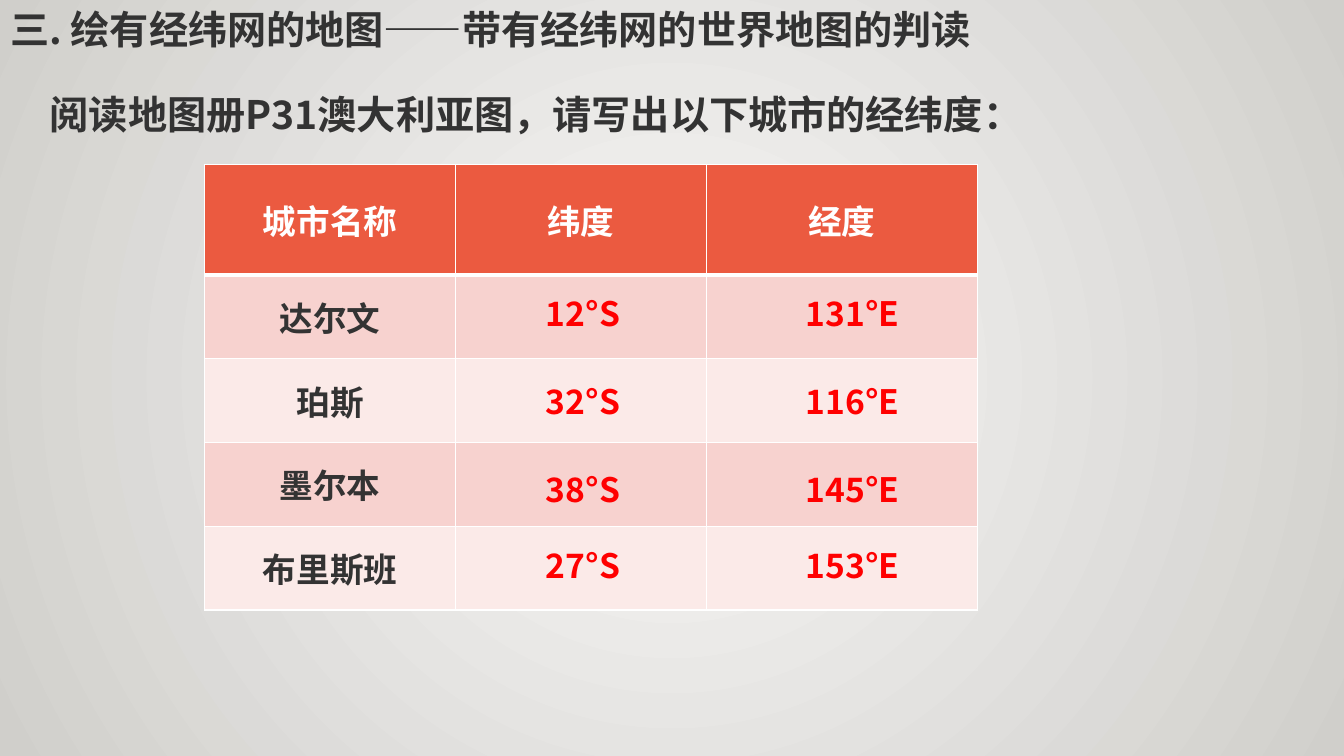
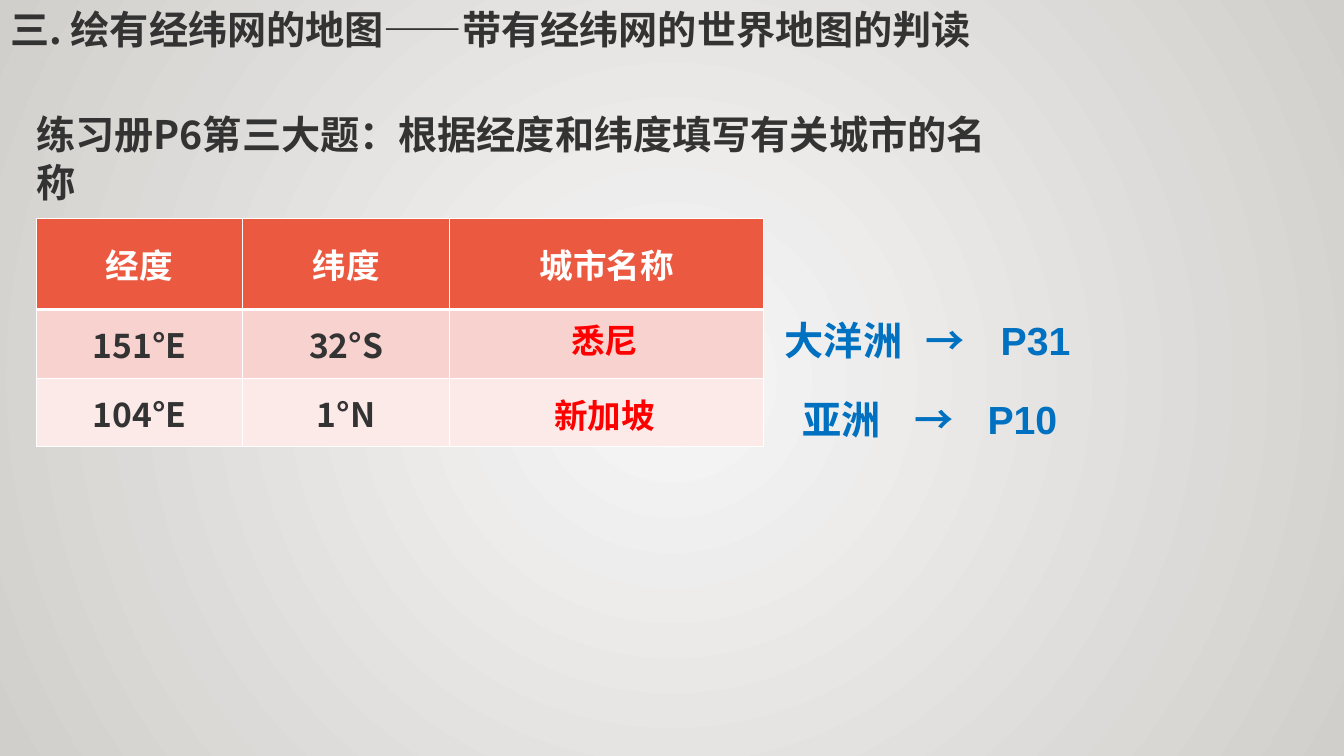
from pptx import Presentation
from pptx.dml.color import RGBColor as Rgb
from pptx.enum.text import MSO_ANCHOR as Anchor, MSO_AUTO_SIZE as Fit, PP_ALIGN as Align
from pptx.oxml import parse_xml
from pptx.oxml.ns import nsdecls, qn
from pptx.util import Cm, Pt

INK = Rgb(0x33, 0x33, 0x33)
WHITE = Rgb(0xFF, 0xFF, 0xFF)
RED = Rgb(0xFF, 0x00, 0x00)
BLUE = Rgb(0x00, 0x70, 0xC0)
HEAD = Rgb(0xEB, 0x5A, 0x40)
BANDS = (Rgb(0xF7, 0xD2, 0xCF), Rgb(0xFB, 0xEA, 0xE8))
GLOW = Rgb(0xF8, 0xF7, 0xF7)
EDGE = Rgb(0xD0, 0xCF, 0xCB)

HAN = "Noto Sans CJK SC"
TITLE = "三. 绘有经纬网的地图——带有经纬网的世界地图的判读"


def xml(tag, attrs="", inner=""):
    return parse_xml(f"<a:{tag} {nsdecls('a')} {attrs}>{inner}</a:{tag}>")


def write(para, text, size, color, face=HAN, align=Align.LEFT):
    para.alignment = align
    para.space_before = Pt(0)
    run = para.add_run()
    run.text = text
    font = run.font
    font.name, font.size, font.bold = face, Pt(size), True
    font.color.rgb = color
    run._r.get_or_add_rPr().append(xml("ea", f'typeface="{HAN}"'))


def place(shape, left, top, width, height):
    shape.left, shape.top = Cm(left), Cm(top)
    shape.width, shape.height = Cm(width), Cm(height)
    frame = shape.text_frame
    frame.word_wrap = True
    frame.auto_size = Fit.NONE
    frame.vertical_anchor = Anchor.MIDDLE
    return frame.paragraphs[0]


def paint(master):
    """Give every slide the radial grey background."""
    fill = master.background.fill
    fill.gradient()
    for stop, color in zip(fill.gradient_stops, (GLOW, EDGE)):
        stop.color.rgb = color
    grad = next(master.element.iter(qn("a:gradFill")))
    rect = '<a:fillToRect l="50000" t="50000" r="50000" b="50000"/>'
    grad.replace(grad.find(qn("a:lin")), xml("path", 'path="circle"', rect))


def start(deck, task, box):
    """Add a slide with the shared title and its own task line."""
    slide = deck.slides.add_slide(deck.slide_layouts[1])
    title, body = slide.placeholders
    write(place(title, 0, 0, 30.45, 1.45), TITLE, 28, INK)
    para = place(body, *box)
    props = para._p.get_or_add_pPr()
    props.set("marL", "0")
    props.set("indent", "0")
    props.append(xml("buNone"))
    para.line_spacing = Pt(34)
    write(para, task, 28, INK)
    return slide


def edge(cell, row):
    props = cell._tc.get_or_add_tcPr()
    thick = {0: "lnB", 1: "lnT"}.get(row)
    for side in ("lnL", "lnR", "lnT", "lnB"):
        width = Pt(3 if side == thick else 1)
        inner = f'<a:solidFill><a:srgbClr val="{WHITE}"/></a:solidFill>'
        props.append(xml(side, f'w="{width}"', inner))


def grid(slide, left, top, cols, rows, data):
    shape = slide.shapes.add_table(len(rows), len(cols), Cm(left), Cm(top),
                                   Cm(sum(cols)), Cm(sum(rows)))
    table = shape.table
    table.horz_banding = False
    for col, width in zip(table.columns, cols):
        col.width = Cm(width)
    for i, (row, high) in enumerate(zip(table.rows, rows)):
        row.height = Cm(high)
        for cell, text in zip(row.cells, data[i]):
            edge(cell, i)
            cell.fill.solid()
            cell.fill.fore_color.rgb = BANDS[(i - 1) % 2] if i else HEAD
            cell.vertical_anchor = Anchor.MIDDLE
            if text:
                write(cell.text_frame.paragraphs[0], text, 24,
                      INK if i else WHITE, align=Align.CENTER)


def answer(slide, text, mid, level):
    """Centre a red answer on a point of the table."""
    wide, high = 4, 1.27
    box = slide.shapes.add_textbox(0, 0, 0, 0)
    para = place(box, mid - wide / 2, level - high / 2, wide, high)
    write(para, text, 24, RED, align=Align.CENTER)


def hint(slide, land, page, left, top, stops):
    """Point from a continent to its atlas page."""
    box = slide.shapes.add_textbox(0, 0, 0, 0)
    para = place(box, left, top, 8.5, 1.45)
    tabs = "".join(f'<a:tab pos="{Cm(stop)}" algn="l"/>' for stop in stops)
    para._p.get_or_add_pPr().append(xml("tabLst", inner=tabs))
    write(para, f"{land}\t→\t{page}", 28, BLUE, "Arial")


def cities(deck):
    slide = start(deck, "阅读地图册P31澳大利亚图，请写出以下城市的经纬度：",
                  (1, 2.13, 27, 1.45))
    names = ("达尔文", "珀斯", "墨尔本", "布里斯班")
    data = [("城市名称", "纬度", "经度")] + [(name, "", "") for name in names]
    grid(slide, 5.16, 4.14, (6.32, 6.32, 6.83), [2.79] + [2.11] * 4, data)
    for lat, lon, level in (("12°S", "131°E", 7.9), ("32°S", "116°E", 10.11),
                            ("38°S", "145°E", 12.32), ("27°S", "153°E", 14.25)):
        answer(slide, lat, 14.69, level)
        answer(slide, lon, 21.49, level)


def places(deck):
    slide = start(deck, "练习册P6第三大题：根据经度和纬度填写有关城市的名称",
                  (0.66, 2.62, 25.27, 2.7))
    data = (("经度", "纬度", "城市名称"), ("151°E", "32°S", ""), ("104°E", "1°N", ""))
    grid(slide, 0.91, 5.51, (5.21, 5.21, 7.92), (2.29, 1.73, 1.73), data)
    hint(slide, "大洋洲", "P31", 19.53, 7.85, (3.55, 5.44))
    hint(slide, "亚洲", "P10", 19.97, 9.83, (2.83, 4.67))
    answer(slide, "悉尼", 15.24, 8.56)
    answer(slide, "新加坡", 15.24, 10.46)


def main():
    deck = Presentation()
    deck.slide_width, deck.slide_height = Cm(33.87), Cm(19.05)
    paint(deck.slide_master)
    cities(deck)
    places(deck)
    deck.save("out.pptx")


if __name__ == "__main__":
    main()
